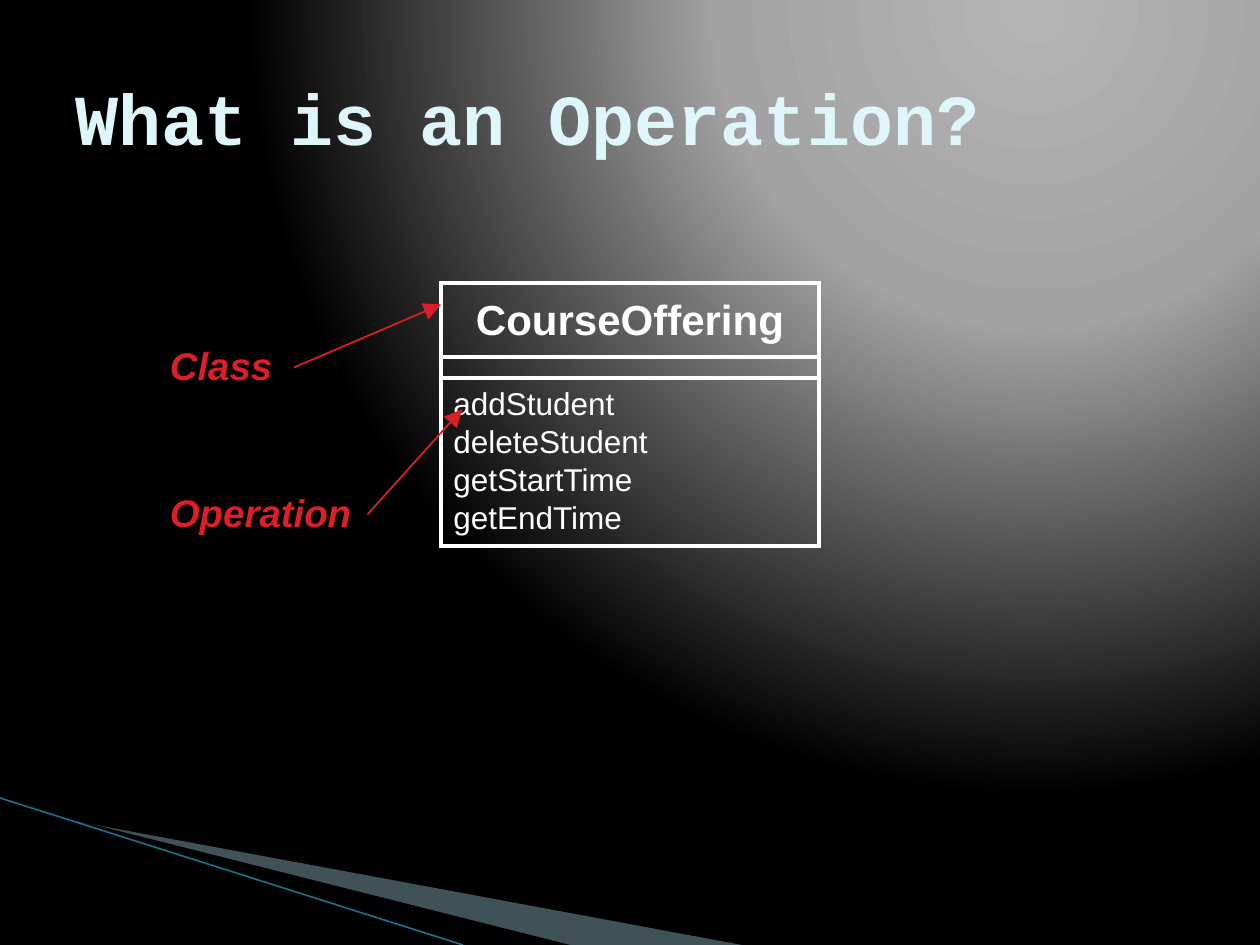
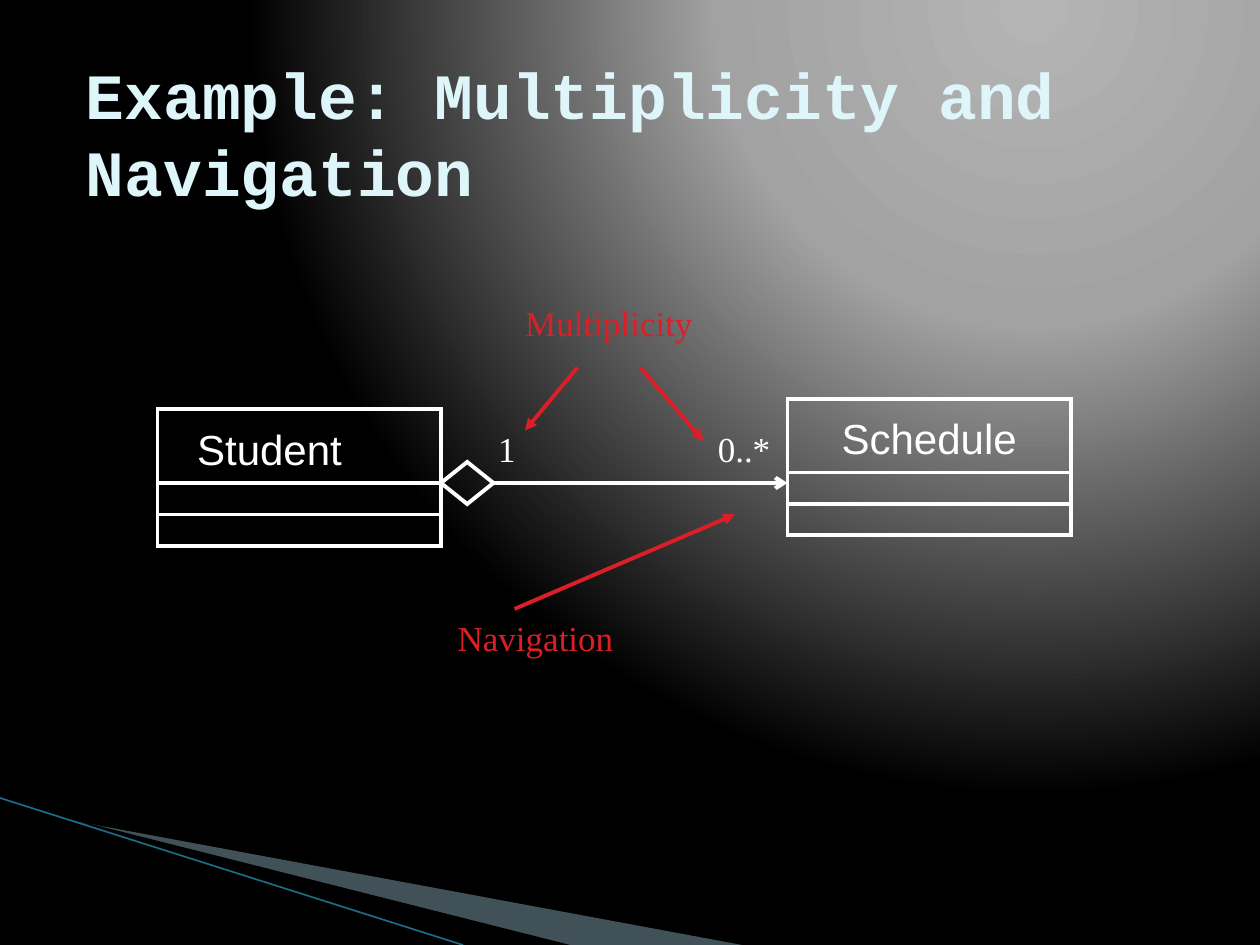
import pptx
import pptx.dml.color
import pptx.enum.shapes
import pptx.enum.text
import pptx.oxml
import pptx.oxml.ns
import pptx.util

COLORS = {"white": "FFFFFF", "red": "DA1F28", "title": "DEF5FA",
          "wedge": "A0CBDC", "black": "000000", "teal": "1A6E84"}
FADE = [(0, "B4B4B4"), (40, "A2A2A2"), (100, "000000")]
SANS, SERIF, MONO = "Arial", "Times New Roman", "Courier New"
COLS, ROWS = 120, 90
ALIGN = pptx.enum.text.PP_ALIGN
ANCHOR = pptx.enum.text.MSO_ANCHOR
SHAPE = pptx.enum.shapes.MSO_SHAPE
LINK = pptx.enum.shapes.MSO_CONNECTOR
NS = pptx.oxml.ns.nsdecls("a", "p")


def tint(name):
    return pptx.dml.color.RGBColor.from_string(COLORS[name])


def child(node, tag, **attrs):
    """Append an empty DrawingML element to node."""
    item = pptx.oxml.parse_xml(f"<a:{tag} {NS}/>")
    for key, value in attrs.items():
        item.set(key, str(value))
    node.append(item)


def stroke(form, color, width):
    """Set a mitred line and return its XML element."""
    form.line.color.rgb = tint(color)
    form.line.width = pptx.util.Pt(width)
    edge = form.element.spPr.find(pptx.oxml.ns.qn("a:ln"))
    child(edge, "miter", lim=800000)
    return edge


def write(box, text, size=20, font=SERIF, color="white", bold=False,
          slant=False, align=ALIGN.LEFT, anchor=ANCHOR.TOP, inset=(0.1, 0.05)):
    frame = box.text_frame
    frame.word_wrap = True
    frame.vertical_anchor = anchor
    frame.margin_left = frame.margin_right = pptx.util.Inches(inset[0])
    frame.margin_top = frame.margin_bottom = pptx.util.Inches(inset[1])
    for num, words in enumerate(text.split("\n")):
        para = frame.add_paragraph() if num else frame.paragraphs[0]
        para.alignment = align
        run = para.add_run()
        run.text = words
        run.font.size = pptx.util.Pt(size)
        run.font.name = font
        run.font.bold = bold
        run.font.italic = slant
        run.font.color.rgb = tint(color)


class Deck:
    """Holds the style, the grid and the current slide."""

    def __init__(self):
        self.file = pptx.Presentation()
        self.file.slide_width = pptx.util.Inches(10)
        self.file.slide_height = pptx.util.Inches(7.5)
        self.unit = self.file.slide_width / COLS

    def grid(self, *cells):
        return [round(cell * self.unit) for cell in cells]

    def page(self, title, left, top, size):
        self.slide = self.file.slides.add_slide(self.file.slide_layouts[6])
        self.glow()
        self.wedge("wedge", [(6.6, 78.1), (70.7, ROWS), (54.2, ROWS)], 40)
        self.wedge("black", [(6.4, 77.9), (54.3, ROWS), (44.2, ROWS)])
        self.line((0, 76), (44.1, ROWS), "teal", 0.95)
        self.text(title, left, top, 108, 15, size=size, font=MONO,
                  color="title", bold=True, anchor=ANCHOR.MIDDLE)

    def glow(self):
        """Fill the background with light from the upper right."""
        stops = "".join(f'<a:gs pos="{pos * 1000}"><a:srgbClr val="{hue}"/></a:gs>'
                        for pos, hue in FADE)
        self.slide.element.cSld.insert(0, pptx.oxml.parse_xml(
            f'<p:bg {NS}><p:bgPr><a:gradFill rotWithShape="1">'
            f'<a:gsLst>{stops}</a:gsLst><a:path path="circle">'
            '<a:fillToRect l="65000" t="0" r="0" b="98000"/></a:path>'
            '</a:gradFill><a:effectLst/></p:bgPr></p:bg>'))

    def wedge(self, color, points, alpha=100):
        start, *rest = [self.grid(*point) for point in points]
        pen = self.slide.shapes.build_freeform(*start)
        pen.add_line_segments(rest, close=True)
        form = pen.convert_to_shape()
        form.shadow.inherit = False
        form.line.fill.background()
        form.fill.solid()
        form.fill.fore_color.rgb = tint(color)
        if alpha < 100:
            fill = form.element.spPr.find(pptx.oxml.ns.qn("a:solidFill"))
            child(fill[0], "alpha", val=alpha * 1000)

    def line(self, start, end, color="white", width=2.25, head=None, span="med"):
        link = self.slide.shapes.add_connector(
            LINK.STRAIGHT, *self.grid(*start, *end))
        edge = stroke(link, color, width)
        if head:
            child(edge, "tailEnd", type=head, w=span, len=span)
        child(link.element.spPr, "effectLst")

    def arrow(self, start, end, width=2.25, span="med"):
        self.line(start, end, "red", width, "triangle", span)

    def frame(self, kind, left, top, wide, high):
        form = self.slide.shapes.add_shape(kind, *self.grid(left, top, wide, high))
        form.fill.background()
        stroke(form, "white", 2.25)
        form.shadow.inherit = False

    def text(self, words, left, top, wide, high, **style):
        box = self.slide.shapes.add_textbox(*self.grid(left, top, wide, high))
        write(box, words, **style)

    def entry(self, name, left, top, wide, high, rules, **style):
        """Draw a class box: its name above lines at the given rows."""
        self.frame(SHAPE.RECTANGLE, left, top, wide, high)
        self.text(name, left + 2.6, top + 0.7, wide - 5.2, 6,
                  size=24, font=SANS, **style)
        for rule in rules:
            self.line((left, top + rule), (left + wide, top + rule))

    def label(self, words, left, top, wide, **style):
        self.text(words, left, top, wide, 5.4, inset=(0.12, 0.06), **style)


def show_class(deck):
    deck.page("What is an Operation?", 6, 3.6, 41)
    deck.entry("CourseOffering", 42, 27, 36, 25, (7, 9),
               bold=True, align=ALIGN.CENTER, inset=(0, 0.02))
    deck.text("addStudent\ndeleteStudent\ngetStartTime\ngetEndTime",
              42, 36, 35, 19.2, size=18, font=SANS)
    for word, row, start, end in (("Class", 32, (28, 35), (42, 29)),
                                  ("Operation", 46, (35, 49), (44, 39))):
        deck.text(word, 15, row, 31, 5.6, size=22, font=SANS,
                  color="red", bold=True, slant=True)
        deck.arrow(start, end, 1, "lg")


def show_links(deck):
    deck.page("Example: Multiplicity and Navigation", 7, 5.1, 36.9)
    for name, left, top, align in (("Student", 15, 39, ALIGN.LEFT),
                                   ("Schedule", 75, 38, ALIGN.CENTER)):
        deck.entry(name, left, top, 27, 13, (7, 10), align=align)
    deck.label("1", 46, 40, 20.8)
    deck.label("0..*", 54, 40, 20.8, align=ALIGN.RIGHT)
    for word, left, top in (("Multiplicity", 35, 28), ("Navigation", 28, 58)):
        deck.label(word, left, top, 46, color="red", align=ALIGN.CENTER)
    deck.arrow((61, 35), (67, 42))
    deck.arrow((55, 35), (50, 41))
    deck.arrow((49, 58), (70, 49))
    deck.line((47, 46), (75, 46), head="arrow")
    deck.frame(SHAPE.DIAMOND, 42, 44, 5, 4)


def main():
    deck = Deck()
    show_class(deck)
    show_links(deck)
    deck.file.save("out.pptx")


if __name__ == "__main__":
    main()
